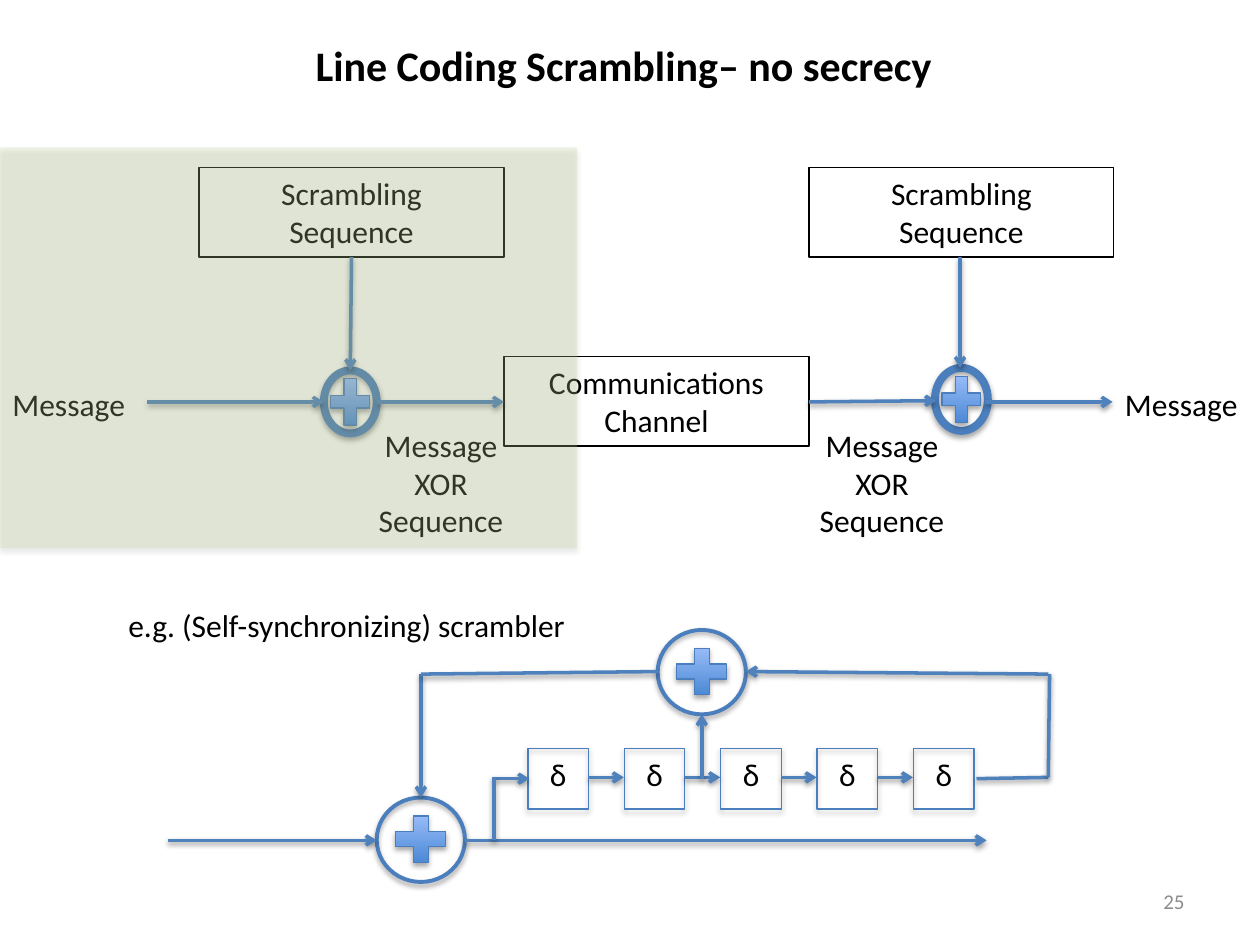
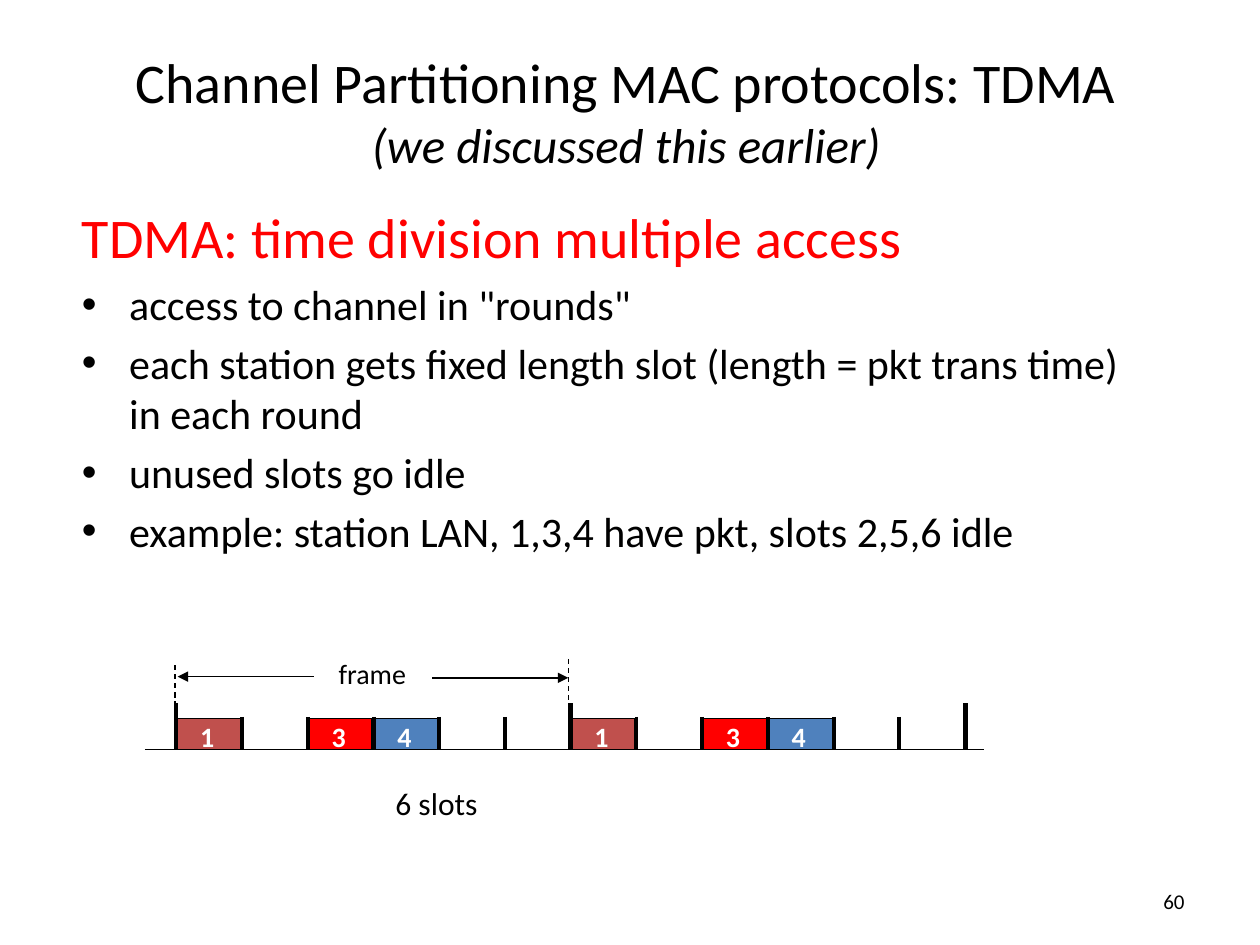
from lxml import etree
from pptx import Presentation
from pptx.dml.color import RGBColor
from pptx.enum.dml import MSO_LINE
from pptx.enum.shapes import MSO_CONNECTOR, MSO_SHAPE
from pptx.enum.text import MSO_ANCHOR, MSO_AUTO_SIZE, PP_ALIGN
from pptx.oxml.ns import qn
from pptx.util import Inches, Pt

FONT = "Calibri"
BLACK = RGBColor(0x00, 0x00, 0x00)
WHITE = RGBColor(0xFF, 0xFF, 0xFF)
GRAY = RGBColor(0x8C, 0x8C, 0x8C)
RED = RGBColor(0xFF, 0x00, 0x00)
BRICK = RGBColor(0xC0, 0x50, 0x4D)
BLUE = RGBColor(0x4F, 0x81, 0xBD)
OUTLINE_BLUE = RGBColor(0x4B, 0x7E, 0xBC)
PLUS_DARK = RGBColor(0x3F, 0x80, 0xCE)
PLUS_LIGHT = RGBColor(0xA4, 0xC4, 0xFF)
OLIVE = RGBColor(0xC3, 0xD6, 0x9B)

LEFT, CENTER, RIGHT = PP_ALIGN.LEFT, PP_ALIGN.CENTER, PP_ALIGN.RIGHT
TOP, MIDDLE = MSO_ANCHOR.TOP, MSO_ANCHOR.MIDDLE
NO_AUTOFIT = MSO_AUTO_SIZE.NONE
RECTANGLE, ELLIPSE, PLUS = MSO_SHAPE.RECTANGLE, MSO_SHAPE.OVAL, MSO_SHAPE.MATH_PLUS
STRAIGHT = MSO_CONNECTOR.STRAIGHT
DASH = MSO_LINE.DASH

TITLE_ONLY_LAYOUT, TITLE_AND_BODY_LAYOUT = 5, 1
SHAPE_SHADOW, LINE_SHADOW = (35, 1.8), (38, 1.6)


def box_inches(box):
    return [Inches(length) for length in box]


def place(shape, box):
    shape.left, shape.top, shape.width, shape.height = box_inches(box)


def write_text(shape, lines, size=18, color=BLACK, bold=False, align=LEFT, anchor=TOP, wrap=True):
    frame = shape.text_frame
    frame.word_wrap = wrap
    frame.auto_size = NO_AUTOFIT
    frame.vertical_anchor = anchor
    for index, line in enumerate(lines):
        paragraph = frame.add_paragraph() if index else frame.paragraphs[0]
        paragraph.text = line
        paragraph.alignment = align
        for run in paragraph.runs:
            run.font.name = FONT
            run.font.size = Pt(size)
            run.font.bold = bold
            run.font.color.rgb = color
    return frame


def add_text(slide, box, *lines, **text_format):
    write_text(slide.shapes.add_textbox(*box_inches(box)), lines, **text_format)


def add_title(slide, box, text, **text_format):
    title = slide.shapes.title
    place(title, box)
    return write_text(title, [text], align=CENTER, anchor=MIDDLE, **text_format)


def add_page_number(slide, number, color):
    add_text(slide, (7.17, 6.95, 2.33, 0.4), number, size=12, color=color, align=RIGHT, anchor=MIDDLE)


def add_shadow(shape, shadow):
    effects = etree.SubElement(shape._element.spPr, qn("a:effectLst"))
    if shadow:
        opacity, distance = shadow
        outer = etree.SubElement(
            effects, qn("a:outerShdw"), blurRad=str(Pt(3.1)), dist=str(Pt(distance)),
            dir="5400000", rotWithShape="0")
        black = etree.SubElement(outer, qn("a:srgbClr"), val="000000")
        etree.SubElement(black, qn("a:alpha"), val=str(opacity * 1000))


def add_box(slide, kind, box, fill=None, outline=BLACK, width=0.75, shadow=None):
    shape = slide.shapes.add_shape(kind, *box_inches(box))
    if fill is None:
        shape.fill.background()
    else:
        shape.fill.solid()
        shape.fill.fore_color.rgb = fill
    if outline is None:
        shape.line.fill.background()
    else:
        shape.line.color.rgb = outline
        shape.line.width = Pt(width)
    add_shadow(shape, shadow)
    return shape


def add_line(slide, start, end, color=BLACK, width=0.75, arrow=None, dash=None, shadow=None):
    ends = box_inches(start + end)
    connector = slide.shapes.add_connector(STRAIGHT, *ends)
    connector.line.color.rgb = color
    connector.line.width = Pt(width)
    if dash:
        connector.line.dash_style = dash
    if arrow:
        outline = connector._element.spPr.find(qn("a:ln"))
        etree.SubElement(outline, qn("a:tailEnd"), type=arrow)
    add_shadow(connector, shadow)


def add_wire(slide, start, end, arrow="arrow"):
    add_line(slide, start, end, color=BLUE, width=2, arrow=arrow, shadow=LINE_SHADOW)


def add_labelled_block(slide, left, top, *lines):
    block = add_box(slide, RECTANGLE, (left, top, 2.42, 0.71))
    write_text(block, lines, align=CENTER)


def add_adder(slide, ellipse_box, plus_box, width):
    add_box(slide, ELLIPSE, ellipse_box, outline=OUTLINE_BLUE, width=width, shadow=SHAPE_SHADOW)
    plus = add_box(slide, PLUS, plus_box, outline=OUTLINE_BLUE, shadow=SHAPE_SHADOW)
    plus.fill.gradient()
    plus.fill.gradient_angle = 90
    for stop, color, position in zip(plus.fill.gradient_stops, (PLUS_DARK, PLUS_LIGHT), (0, 1)):
        stop.color.rgb = color
        stop.position = position


def add_small_adder(slide, left, top):
    box = (left, top, 0.42, 0.5)
    add_adder(slide, box, box, 4.5)


def add_large_adder(slide, left, top):
    add_adder(slide, (left, top, 0.7, 0.67), (left + 0.08, top + 0.08, 0.54, 0.5), 2.25)


def add_line_coding(slide):
    for left in (1.58, 6.42):
        add_labelled_block(slide, left, 1.33, "Scrambling", "Sequence")
    add_labelled_block(slide, 4, 2.83, "Communications", "Channel")
    add_small_adder(slide, 2.57, 2.94)
    add_small_adder(slide, 7.42, 2.92)
    for start, end in (
        ((1.17, 3.19), (2.57, 3.19)),
        ((2.99, 3.19), (4, 3.19)),
        ((6.42, 3.19), (7.43, 3.18)),
        ((7.82, 3.19), (8.83, 3.19)),
        ((2.79, 2.04), (2.78, 2.94)),
        ((7.62, 2.04), (7.62, 2.92)),
    ):
        add_wire(slide, start, end)
    for left in (0, 8.83):
        add_text(slide, (left, 3.01, 1.42, 0.4), "Message")
    for left in (2.66, 6.16):
        add_text(slide, (left, 3.33, 1.68, 1.01), "Message", "XOR", "Sequence", align=CENTER)
    sender = add_box(slide, RECTANGLE, (0, 1.17, 4.58, 3.18), fill=OLIVE, outline=None, shadow=SHAPE_SHADOW)
    fill_color = sender._element.spPr.find(qn("a:solidFill"))[0]
    etree.SubElement(fill_color, qn("a:alpha"), val="25000")


def add_scrambler(slide):
    add_text(slide, (0.92, 4.76, 3.89, 0.4), "e.g. (Self-synchronizing) scrambler")
    add_large_adder(slide, 5.22, 5)
    add_large_adder(slide, 2.99, 6.33)
    for index in range(5):
        left = 4.19 + 0.765 * index
        add_box(slide, RECTANGLE, (left, 5.94, 0.48, 0.48), outline=OUTLINE_BLUE, shadow=SHAPE_SHADOW)
        add_text(slide, (left, 5.94, 0.48, 0.4), "δ", align=CENTER)
        if index < 4:
            add_wire(slide, (left + 0.48, 6.17), (left + 0.76, 6.17))
    for start, end in (
        ((3.69, 6.67), (7.83, 6.67)),
        ((1.33, 6.67), (2.99, 6.67)),
        ((5.57, 6.18), (5.57, 5.67)),
        ((8.32, 5.35), (5.92, 5.33)),
        ((3.34, 5.35), (3.34, 6.33)),
        ((3.92, 6.18), (4.2, 6.18)),
    ):
        add_wire(slide, start, end)
    for start, end in (
        ((7.75, 6.18), (8.32, 6.17)),
        ((8.32, 6.17), (8.33, 5.35)),
        ((5.22, 5.33), (3.34, 5.35)),
        ((3.92, 6.67), (3.92, 6.17)),
    ):
        add_wire(slide, start, end, arrow=None)


def add_tdma_list(slide):
    body = slide.placeholders[1]
    place(body, (0.55, 1.56, 8.5, 3.2))
    frame = write_text(body, [
        "TDMA: time division multiple access",
        'access to channel in "rounds"',
        "each station gets fixed length slot (length = pkt trans time) in each round",
        "unused slots go idle",
        "example: station LAN, 1,3,4 have pkt, slots 2,5,6 idle",
    ], size=24)
    heading = frame.paragraphs[0]
    heading.space_before = Pt(0)
    etree.SubElement(heading._p.get_or_add_pPr(), qn("a:buNone"))
    heading.runs[0].font.size = Pt(32)
    heading.runs[0].font.color.rgb = RED


def add_tdma_timeline(slide):
    frame_left, frame_width, slots_per_frame = 1.39, 3.13, 6
    slot_width = frame_width / slots_per_frame
    baseline = 5.95
    add_line(slide, (1.15, baseline), (7.81, baseline))
    for frame_index in range(2):
        for station, color in ((1, BRICK), (3, RED), (4, BLUE)):
            left = frame_left + frame_index * frame_width + (station - 1) * slot_width
            add_box(slide, RECTANGLE, (left, 5.7, 0.52, 0.25), fill=color)
            add_text(slide, (left + 0.1, 5.66, 0.33, 0.37), str(station),
                     size=16, color=WHITE, bold=True, wrap=False)
    for tick in range(2 * slots_per_frame + 1):
        x = frame_left + 0.01 + tick * slot_width
        tick_top = 5.69 if tick % slots_per_frame else 5.58
        width = 3 if tick in (6, 12) else 2.25
        add_line(slide, (x, tick_top), (x, baseline), width=width)
    add_text(slide, (2.59, 5.16, 0.74, 0.37), "frame", size=16, wrap=False)
    add_line(slide, (3.43, 5.38), (4.51, 5.38), arrow="triangle")
    add_line(slide, (2.49, 5.37), (1.41, 5.37), arrow="triangle")
    for x, top in ((1.39, 5.28), (4.51, 5.23)):
        add_line(slide, (x, top), (x, top + 0.33), dash=DASH)
    add_text(slide, (3.04, 6.17, 0.86, 0.4), "6 slots", wrap=False)


def build_scrambling_slide(presentation):
    slide = presentation.slides.add_slide(presentation.slide_layouts[TITLE_ONLY_LAYOUT])
    add_title(slide, (1.99, 0.26, 5.92, 0.5), "Line Coding Scrambling– no secrecy", size=24, bold=True)
    add_line_coding(slide)
    add_scrambler(slide)
    add_page_number(slide, "25", GRAY)


def build_tdma_slide(presentation):
    slide = presentation.slides.add_slide(presentation.slide_layouts[TITLE_AND_BODY_LAYOUT])
    title = add_title(slide, (0.25, 0.25, 9.44, 1.25),
                      "Channel Partitioning MAC protocols: TDMA\v(we discussed this earlier)", size=32)
    subtitle = title.paragraphs[0].runs[1]
    subtitle.font.size = Pt(28)
    subtitle.font.italic = True
    add_tdma_list(slide)
    add_tdma_timeline(slide)
    add_page_number(slide, "60", BLACK)


def main():
    presentation = Presentation()
    presentation.slide_width = Inches(10)
    presentation.slide_height = Inches(7.5)
    build_scrambling_slide(presentation)
    build_tdma_slide(presentation)
    presentation.save("out.pptx")


if __name__ == "__main__":
    main()
